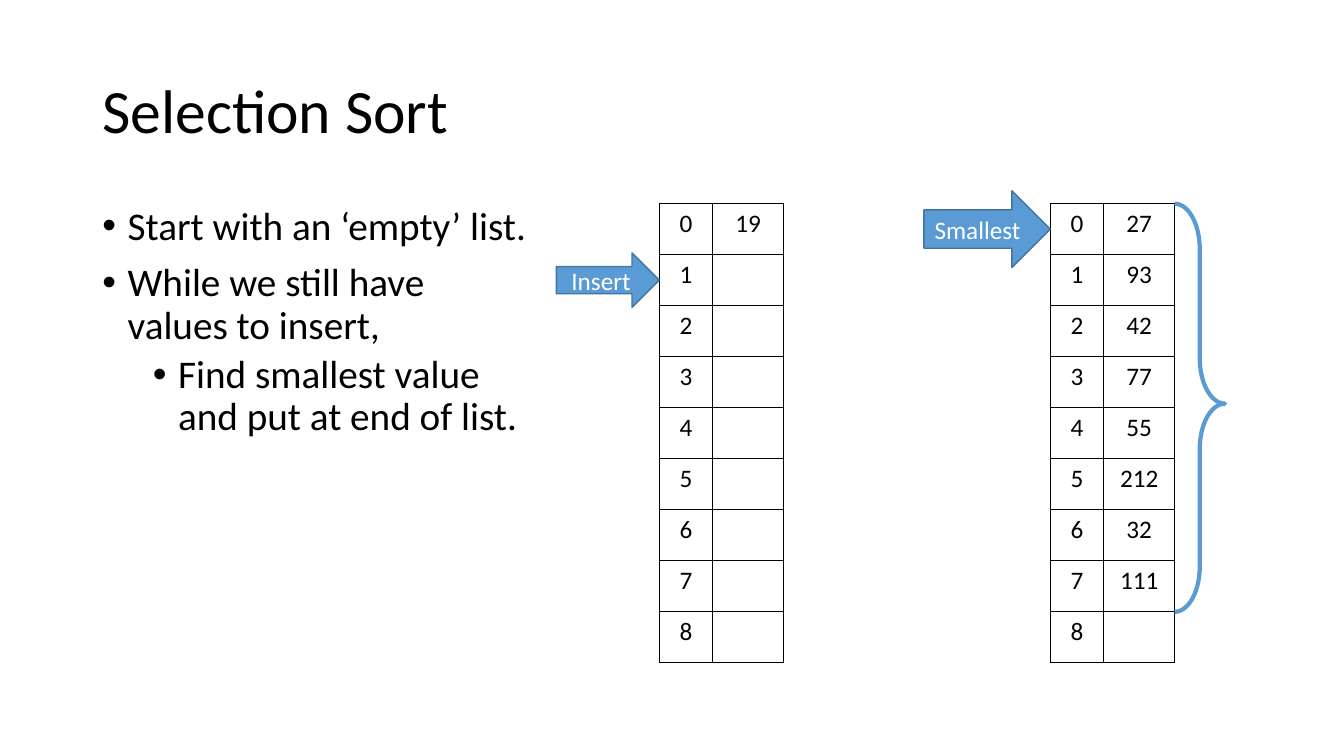
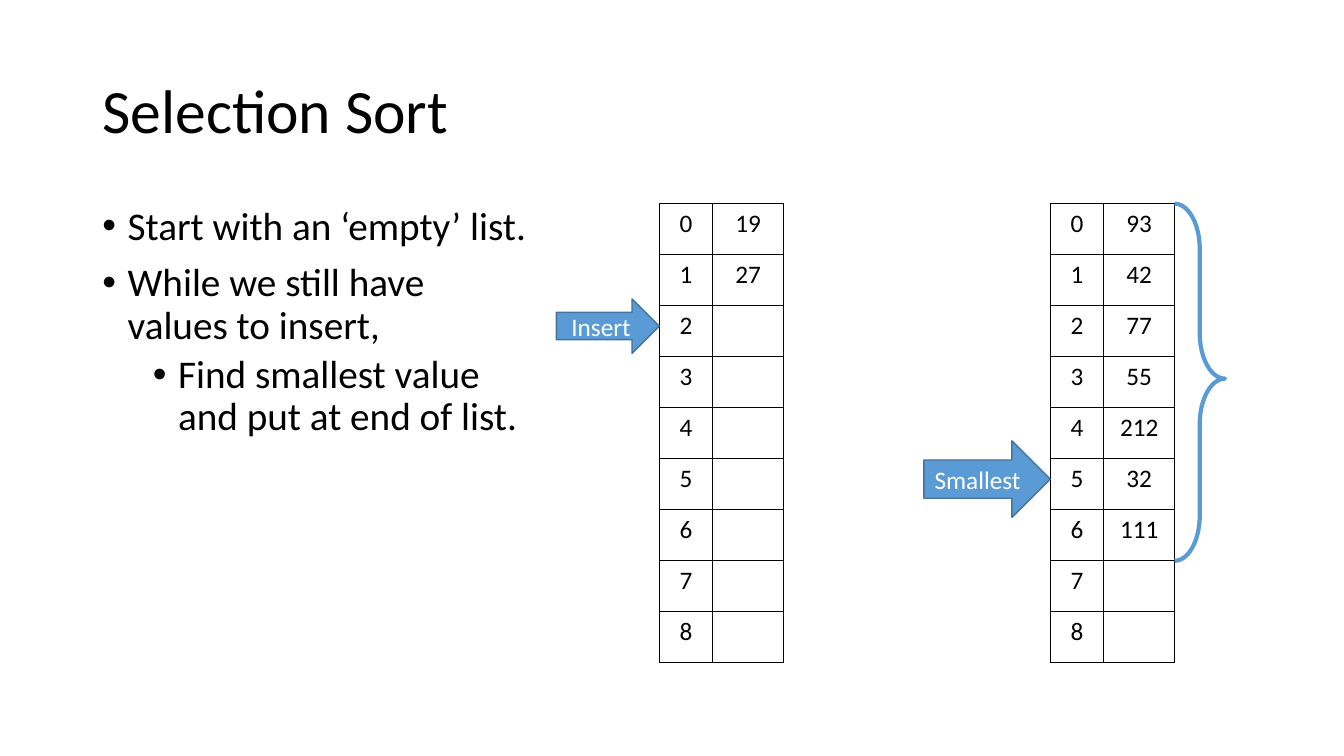
from pptx import Presentation
from pptx.dml.color import RGBColor
from pptx.enum.shapes import MSO_SHAPE as Preset
from pptx.enum.text import MSO_ANCHOR as Anchor, MSO_AUTO_SIZE as AutoSize, PP_ALIGN as Align
from pptx.oxml.ns import qn
from pptx.util import Pt
from lxml.etree import SubElement

FONT = "Calibri"
BLACK, WHITE, BLUE, DARK_BLUE = "000000", "FFFFFF", "5B9BD5", "43739E"

# Shared layout, in points: left, top, width, height
TITLE_BOX = (66, 28.8, 828, 104.4)
BODY_BOX = (66, 144, 322.5, 342.7)
SORTED_LEFT, UNSORTED_LEFT, LIST_TOP = 470.9, 750.2, 145.45
INDEX_WIDTH, VALUE_WIDTH, ROW_HEIGHT, ROW_COUNT = 38.3, 50.5, 36.45, 9
INSERT_SIZE, SMALLEST_SIZE = (73.5, 38.9), (90.2, 54.7)
BRACE_WIDTH = 36

# Each step of the text: level, left margin, space before, wording
STEPS = [
    (0, 18, 10, "Start with an ‘empty’ list."),
    (0, 18, 10, "While we still have \vvalues to insert,"),
    (1, 54, 5, "Find smallest value \vand put at end of list."),
]

# Each slide: sorted values, insert row, unsorted values, row of the smallest
STAGES = [
    ([19], 1, [27, 93, 42, 77, 55, 212, 32, 111], 0),
    ([19, 27], 1.9, [93, 42, 77, 55, 212, 32, 111], 4.9),
]


def color(hex_string):
    return RGBColor.from_string(hex_string)


def set_font(paragraph, size, hex_string=BLACK):
    font = paragraph.font
    font.name, font.size = FONT, Pt(size)
    font.color.rgb = color(hex_string)


def place(shape, box):
    shape.left, shape.top, shape.width, shape.height = map(Pt, box)


def add_title(slide, box, text):
    title = slide.shapes.title
    place(title, box)
    frame = title.text_frame
    frame.text = text
    frame.vertical_anchor = Anchor.MIDDLE
    frame.auto_size = AutoSize.NONE
    paragraph = frame.paragraphs[0]
    paragraph.alignment = Align.LEFT
    paragraph.line_spacing = 0.9
    set_font(paragraph, 44)


def add_steps(slide, box):
    body = slide.placeholders[1]
    place(body, box)
    frame = body.text_frame
    frame.auto_size = AutoSize.NONE
    frame.text = "\n".join(text for *_, text in STEPS)
    for paragraph, (level, margin, space, _) in zip(frame.paragraphs, STEPS):
        paragraph.level = level
        paragraph.line_spacing = 0.9
        paragraph.space_before = Pt(space)
        # Hanging bullet
        properties = paragraph._p.get_or_add_pPr()
        properties.set("marL", str(Pt(margin)))
        properties.set("indent", str(Pt(-18)))
        SubElement(properties, qn("a:buFont"), typeface="Arial")
        SubElement(properties, qn("a:buChar"), char="•")
        set_font(paragraph, 28)


def set_borders(cell):
    properties = cell._tc.get_or_add_tcPr()
    for side in ("lnL", "lnR", "lnT", "lnB"):
        line = SubElement(properties, qn(f"a:{side}"), w=str(Pt(1)))
        fill = SubElement(line, qn("a:solidFill"))
        SubElement(fill, qn("a:srgbClr"), val=BLACK)


def add_list(slide, left, top, values):
    width, height = INDEX_WIDTH + VALUE_WIDTH, ROW_COUNT * ROW_HEIGHT
    table = slide.shapes.add_table(
        ROW_COUNT, 2, Pt(left), Pt(top), Pt(width), Pt(height)).table
    table.first_row = table.horz_banding = False
    table.columns[0].width, table.columns[1].width = Pt(INDEX_WIDTH), Pt(VALUE_WIDTH)
    for index, row in enumerate(table.rows):
        row.height = Pt(ROW_HEIGHT)
        value = values[index] if index < len(values) else ""
        for cell, content in zip(row.cells, (index, value)):
            cell.text = str(content)
            paragraph = cell.text_frame.paragraphs[0]
            paragraph.alignment = Align.CENTER
            set_font(paragraph, 18)
            set_borders(cell)
            cell.fill.background()


def add_pointer(slide, tip, row, size, label):
    """Arrow whose tip touches the list's left edge at the given row."""
    width, height = size
    middle = LIST_TOP + (row + 0.5) * ROW_HEIGHT
    arrow = slide.shapes.add_shape(
        Preset.RIGHT_ARROW, Pt(tip - width), Pt(middle - height / 2), Pt(width), Pt(height))
    arrow.shadow.inherit = False
    arrow.fill.solid()
    arrow.fill.fore_color.rgb = color(BLUE)
    arrow.line.color.rgb = color(DARK_BLUE)
    arrow.line.width = Pt(1)
    frame = arrow.text_frame
    frame.text = label
    frame.vertical_anchor = Anchor.MIDDLE
    paragraph = frame.paragraphs[0]
    paragraph.alignment = Align.CENTER
    set_font(paragraph, 18, WHITE)


def add_brace(slide, left, top, row_count):
    brace = slide.shapes.add_shape(
        Preset.RIGHT_BRACE, Pt(left), Pt(top), Pt(BRACE_WIDTH), Pt(row_count * ROW_HEIGHT))
    brace.adjustments[0], brace.adjustments[1] = 0.9, 0.49
    brace.shadow.inherit = False
    brace.fill.background()
    brace.line.color.rgb = color(BLUE)
    brace.line.width = Pt(3)


def add_stage(presentation, sorted_values, insert_row, unsorted_values, smallest_row):
    slide = presentation.slides.add_slide(presentation.slide_layouts[1])
    add_title(slide, TITLE_BOX, "Selection Sort")
    add_steps(slide, BODY_BOX)
    # Unsorted list on the right, sorted list in the middle
    add_list(slide, UNSORTED_LEFT, LIST_TOP, unsorted_values)
    add_list(slide, SORTED_LEFT, LIST_TOP, sorted_values)
    # Pointers and the brace over the remaining values
    add_pointer(slide, SORTED_LEFT, insert_row, INSERT_SIZE, "Insert")
    add_pointer(slide, UNSORTED_LEFT, smallest_row, SMALLEST_SIZE, "Smallest")
    brace_left = UNSORTED_LEFT + INDEX_WIDTH + VALUE_WIDTH
    add_brace(slide, brace_left, LIST_TOP, len(unsorted_values))


presentation = Presentation()
presentation.slide_width, presentation.slide_height = Pt(960), Pt(540)
for stage in STAGES:
    add_stage(presentation, *stage)
presentation.save("out.pptx")
